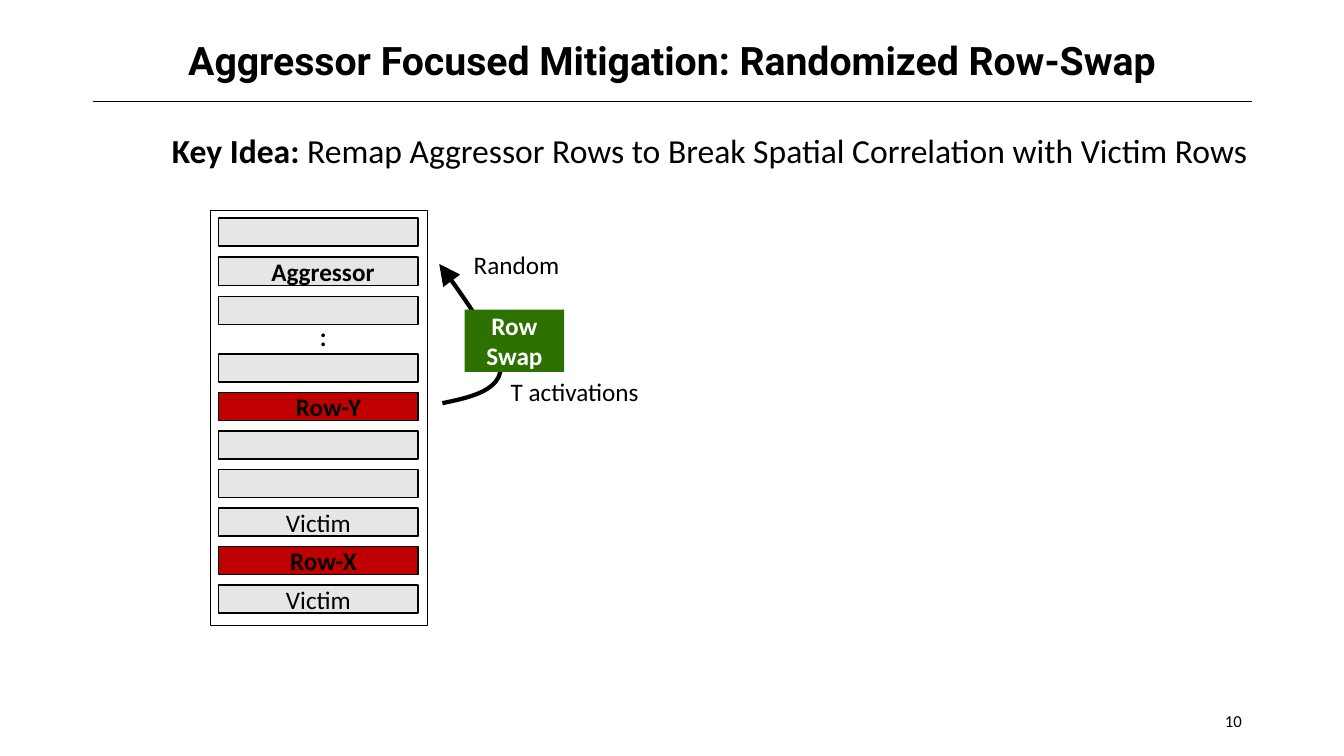
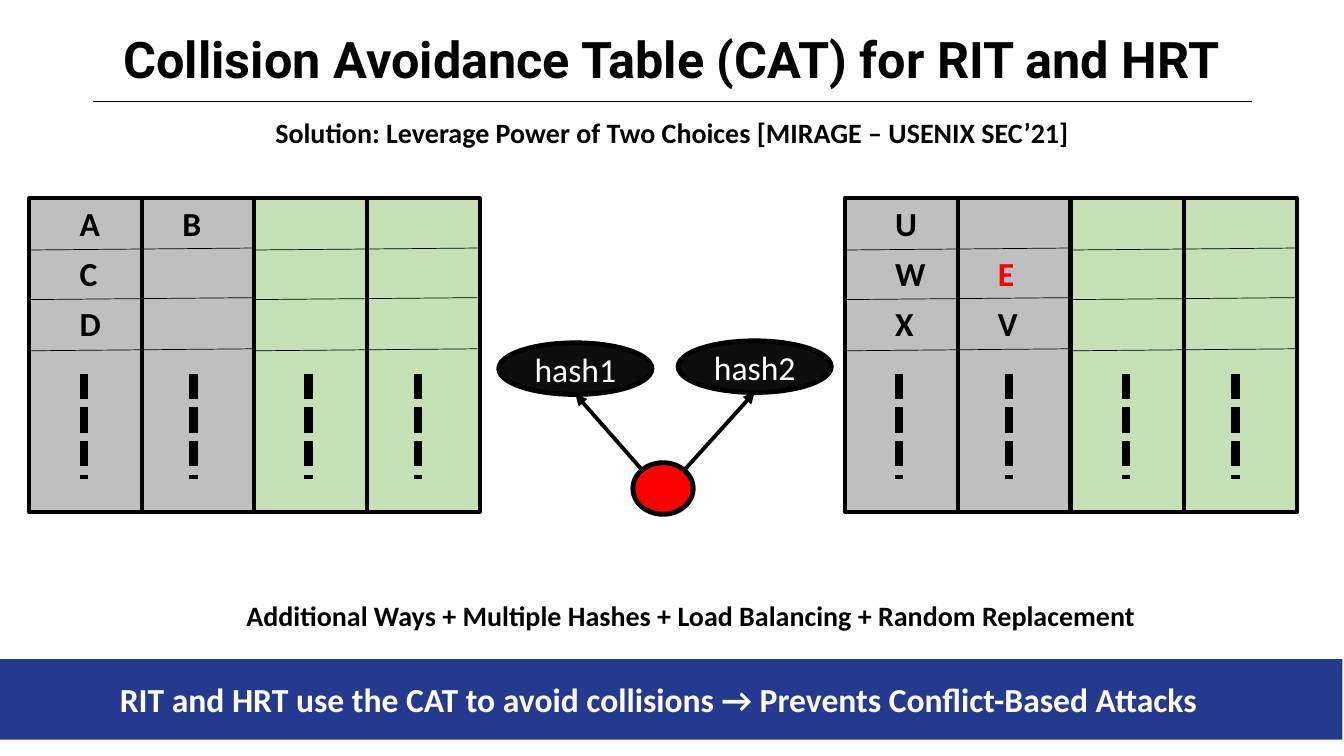
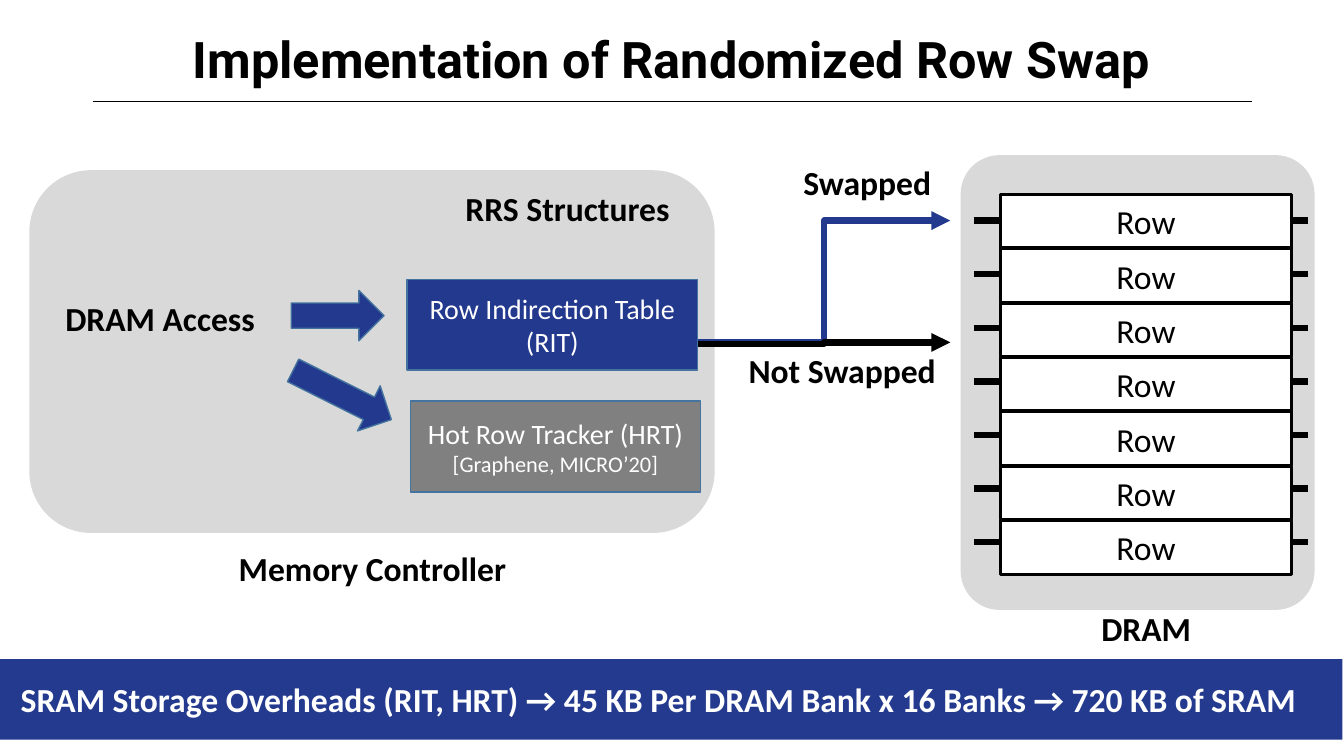
from lxml import etree
from pptx import Presentation
from pptx.dml.color import RGBColor
from pptx.enum.dml import MSO_LINE
from pptx.enum.shapes import MSO_CONNECTOR, MSO_SHAPE
from pptx.enum.text import MSO_ANCHOR, PP_ALIGN
from pptx.oxml.ns import qn
from pptx.util import Cm, Pt

RECT, OVAL, ARROW = MSO_SHAPE.RECTANGLE, MSO_SHAPE.OVAL, MSO_SHAPE.RIGHT_ARROW
ROUNDED = MSO_SHAPE.ROUNDED_RECTANGLE
STRAIGHT, ELBOW = MSO_CONNECTOR.STRAIGHT, MSO_CONNECTOR.ELBOW
TOP, MIDDLE = MSO_ANCHOR.TOP, MSO_ANCHOR.MIDDLE
LEFT, CENTER, RIGHT = PP_ALIGN.LEFT, PP_ALIGN.CENTER, PP_ALIGN.RIGHT
DASH = MSO_LINE.SQUARE_DOT

COLORS = {
    "black": "000000", "white": "FFFFFF", "red": "FF0000", "dark red": "C00000",
    "row": "E7E6E6", "swap": "2D7100", "used way": "BFBFBF", "extra way": "C5E0B4",
    "hash": "0D0D0D", "band": "243A8E", "blue": "23398E", "edge": "43739E",
    "panel": "D9D9D9", "tracker": "808080",
}

# Content: all places are left, top, width, height in centimetres
SWAP_TITLE = "Aggressor Focused Mitigation: Randomized Row-Swap"
KEY_IDEA = [[("Key Idea: ", {"bold": True}),
             ("Remap Aggressor Rows to Break Spatial Correlation with Victim Rows", {})]]
# Each group: top, step, rows of (text, fill, bold, extra left inset)
EMPTY = ("", "row", False, 0)
VICTIM = ("Victim", "row", False, 0)
ROW_GROUPS = [
    (5.49, 0.99, [EMPTY, ("Aggressor", "row", True, 0.23), EMPTY]),
    (8.92, 0.97, [EMPTY, ("Row-Y", "dark red", True, 0.51), EMPTY, EMPTY,
                  VICTIM, ("Row-X", "dark red", True, 0.25), VICTIM]),
]
SWAP_CURVES = [
    [(11.15, 10.16), (11.89, 10.01), (12.62, 9.83), (12.62, 9.25)],
    [(12.62, 9.25), (12.6, 8.66), (11.07, 6.65), (11.07, 6.65)],
]

CAT_TITLE = "Collision Avoidance Table (CAT) for RIT and HRT"
CAT_NOTES = [
    ("Solution: Leverage Power of Two Choices [MIRAGE – USENIX SEC’21]",
     (4.14, 2.79, 25.6, 1.12)),
    ("Additional Ways + Multiple Hashes + Load Balancing + Random Replacement",
     (2.13, 14.96, 30.56, 1.12)),
]
CAT_BAND = "RIT and HRT use the CAT to avoid collisions → Prevents Conflict-Based Attacks"
CAT_PANELS = [
    (0.74, "used way", ["AB", "C", "D"]),
    (6.4, "extra way", []),
    (21.29, "used way", ["U", "WE", "XV"]),
    (27, "extra way", []),
]
NEW_ENTRY = "E"
HASHES = [("hash1", 12.57, 8.64), ("hash2", 17.09, 8.59)]
HASH_ARROWS = [((16.18, 11.84), (14.5, 9.93)), ((17.25, 11.84), (19.02, 9.88))]

RRS_TITLE = "Implementation of Randomized Row Swap"
RRS_BAND = ("SRAM Storage Overheads (RIT, HRT) → 45 KB Per DRAM Bank x 16 Banks"
            " → 720 KB of SRAM")
RRS_PANELS = [((0.74, 4.29, 17.27, 9.14), 0.17), ((24.21, 3.91, 8.92, 11.46), 0.11)]
RRS_LABELS = [
    ("DRAM Access", (0.58, 7.39, 6.91, 1.27), CENTER),
    ("RRS Structures", (11.48, 4.6, 5.82, 1.27), LEFT),
    ("Swapped", (19.63, 3.96, 4.45, 1.27), CENTER),
    ("Not Swapped", (15.04, 8.69, 12.37, 1.27), CENTER),
    ("Memory Controller", (3.05, 13.69, 12.67, 1.27), CENTER),
    ("DRAM", (27.13, 15.19, 3.51, 1.27), CENTER),
]
RRS_TABLES = [
    (["Row Indirection Table (RIT)"], (10.26, 7.04, 7.32, 2.29), "blue"),
    (["Hot Row Tracker (HRT)", [("[Graphene, MICRO’20]", {"size": Pt(16)})]],
     (10.34, 10.11, 7.32, 2.29), "tracker"),
]
ACCESS_ARROWS = [((7.34, 7.32, 2.34, 1.27), 0), ((7.24, 9.32, 2.77, 1.27), 26.6)]
ROUTES = [((17.58, 8.62), (23.95, 5.56), "blue"), ((17.58, 8.67), (23.95, 8.63), "black")]
DRAM_ROWS = 7


def rgb(name):
    return RGBColor.from_string(COLORS[name])


def write(shape, paragraphs, size, color="black", bold=False, align=CENTER,
          anchor=MIDDLE, font="Calibri", spacing=None, wrap=True, insets=None):
    """Fill a shape; a paragraph is a string or a list of (text, format) runs."""
    tf = shape.text_frame
    frame = {"word_wrap": wrap, "vertical_anchor": anchor, **(insets or {})}
    for key, value in frame.items():
        setattr(tf, key, value)
    for i, runs in enumerate(paragraphs):
        p = tf.paragraphs[0] if i == 0 else tf.add_paragraph()
        p.alignment = align
        p.line_spacing = spacing
        for text, changes in [(runs, {})] if isinstance(runs, str) else runs:
            r = p.add_run()
            r.text = text
            r.font.color.rgb = rgb(color)
            style = {"name": font, "size": Pt(size), "bold": bold, **changes}
            for key, value in style.items():
                setattr(r.font, key, value)


def label(s, paragraphs, place, size, anchor=TOP, **style):
    box = s.shapes.add_textbox(*map(Cm, place))
    write(box, paragraphs, size, anchor=anchor, **style)


def paint(shape, fill=None, line=None, width=1):
    shape.shadow.inherit = False
    if fill:
        shape.fill.solid()
        shape.fill.fore_color.rgb = rgb(fill)
    else:
        shape.fill.background()
    if line:
        shape.line.color.rgb = rgb(line)
        shape.line.width = Pt(width)
    else:
        shape.line.fill.background()


def add_box(s, place, fill=None, line=None, width=1, kind=RECT):
    shape = s.shapes.add_shape(kind, *map(Cm, place))
    paint(shape, fill, line, width)
    return shape


def add_arrowhead(shape, size="med"):
    ln = shape._element.spPr.find(qn("a:ln"))
    etree.SubElement(ln, qn("a:tailEnd"), type="triangle", w=size, len=size)


def add_line(s, start, end, width, color="black", kind=STRAIGHT, arrow=False, dash=None):
    c = s.shapes.add_connector(kind, *map(Cm, (*start, *end)))
    c.line.color.rgb = rgb(color)
    c.line.width = Pt(width)
    if dash:
        c.line.dash_style = dash
    if arrow:
        add_arrowhead(c)
    etree.SubElement(c._element.spPr, qn("a:effectLst"))


def curve_points(curves, steps=12):
    """Points along a chain of cubic curves, without the first one."""
    for a, b, c, d in curves:
        for t in (i / steps for i in range(1, steps + 1)):
            u = 1 - t
            weights = (u ** 3, 3 * u * u * t, 3 * u * t * t, t ** 3)
            yield tuple(Cm(sum(w * pt[k] for w, pt in zip(weights, (a, b, c, d))))
                        for k in (0, 1))


# Shared parts: title with rule, bottom band
def new_slide(prs, title, size, band=None):
    s = prs.slides.add_slide(prs.slide_layouts[6])
    add_line(s, (2.34, 2.56), (31.55, 2.56), 0.5)
    label(s, [title], (1.83, 0.58, 30.2, 1.98), size, bold=True, anchor=MIDDLE,
          font="Roboto", spacing=0.9)
    if band:
        bar = add_box(s, (-0.03, 16.61, 33.86, 2.03), "band")
        write(bar, [band], 24, "white", bold=True, insets={"margin_right": Cm(0.86)})
    return s


def row_swap_slide(prs):
    s = new_slide(prs, SWAP_TITLE, 28)
    label(s, ["10"], (23.93, 17.65, 7.62, 1.02), 12, align=RIGHT, anchor=MIDDLE)
    label(s, KEY_IDEA, (3.99, 3.15, 27.79, 1.27), 24)
    # Memory rows
    add_box(s, (5.31, 5.31, 5.46, 10.46), line="black")
    for top, step, rows in ROW_GROUPS:
        for i, (text, fill, bold, shift) in enumerate(rows):
            row = add_box(s, (5.51, top + i * step, 5.03, 0.71), fill, "black")
            if text:
                write(row, [text], 18, bold=bold,
                      insets={"margin_left": Cm(0.25 + shift)})
    label(s, [".", "."], (6.73, 8.2, 2.84, 0.84), 18, bold=True, spacing=0.3)
    # Swap path
    builder = s.shapes.build_freeform(*map(Cm, SWAP_CURVES[0][0]))
    builder.add_line_segments(list(curve_points(SWAP_CURVES)), close=False)
    path = builder.convert_to_shape()
    paint(path, line="black", width=3)
    add_arrowhead(path, "lg")
    swap = add_box(s, (11.71, 7.8, 2.51, 1.57), "swap")
    write(swap, ["Row", "Swap"], 18, "white", bold=True)
    label(s, ["Random"], (10.69, 6.15, 4.65, 1.02), 18)
    label(s, ["T activations"], (12.62, 9.37, 3.84, 1.02), 18, align=LEFT)


def collision_slide(prs):
    s = new_slide(prs, CAT_TITLE, 36, CAT_BAND)
    for text, place in CAT_NOTES:
        label(s, [text], place, 20, bold=True)
    # Table halves with two ways each
    top, width, height = 5, 5.69, 7.9
    for x, fill, entries in CAT_PANELS:
        add_box(s, (x, top, width, height), fill, "black", 3)
        add_line(s, (x + width / 2, top), (x + width / 2, top + height), 3)
        for y in (6.3, 7.55, 8.84):
            add_line(s, (x - 0.04, y), (x + 5.63, y - 0.05), 0.5)
        for dx in (1.37, 4.14):
            add_line(s, (x + dx, 9.42), (x + dx, 12.07), 6, dash=DASH)
        for i, letters in enumerate(entries):
            for j, letter in enumerate(letters):
                place = (x + 1.02 + j * 2.59, top + i * 1.26, 1.3, 1.27)
                label(s, [letter], place, 24, bold=True, align=LEFT, wrap=False,
                      color="red" if letter == NEW_ENTRY else "black")
    # Hash choice
    for text, x, y in HASHES:
        oval = add_box(s, (x, y, 3.86, 1.3), "hash", "black", 3.5, OVAL)
        write(oval, [text], 24, "white")
    for start, end in HASH_ARROWS:
        add_line(s, start, end, 2.75, arrow=True)
    add_box(s, (15.95, 11.66, 1.52, 1.3), "red", "black", 3.5, OVAL)


def implementation_slide(prs):
    s = new_slide(prs, RRS_TITLE, 36, RRS_BAND)
    for place, corner in RRS_PANELS:
        add_box(s, place, "panel", kind=ROUNDED).adjustments[0] = corner
    # Memory controller
    for place, angle in ACCESS_ARROWS:
        add_box(s, place, "blue", "edge", kind=ARROW).rotation = angle
    for paragraphs, place, fill in RRS_TABLES:
        write(add_box(s, place, fill, "edge"), paragraphs, 20, "white")
    for start, end, color in ROUTES:
        add_line(s, start, end, 4.5, color, ELBOW, arrow=True)
    # Memory rows with their stubs
    for i in range(DRAM_ROWS):
        y = 5.56 + i * 1.35
        add_line(s, (24.55, y), (32.97, y), 4.5)
    for i in range(DRAM_ROWS):
        row = add_box(s, (25.22, 4.9 + i * 1.37, 7.32, 1.35), "white", "black", 2.25)
        write(row, ["Row"], 24)
    for text, place, align in RRS_LABELS:
        label(s, [text], place, 24, bold=True, align=align)


def main():
    prs = Presentation()
    prs.slide_width, prs.slide_height = Cm(33.87), Cm(19.05)
    row_swap_slide(prs)
    collision_slide(prs)
    implementation_slide(prs)
    prs.save("out.pptx")


if __name__ == "__main__":
    main()
